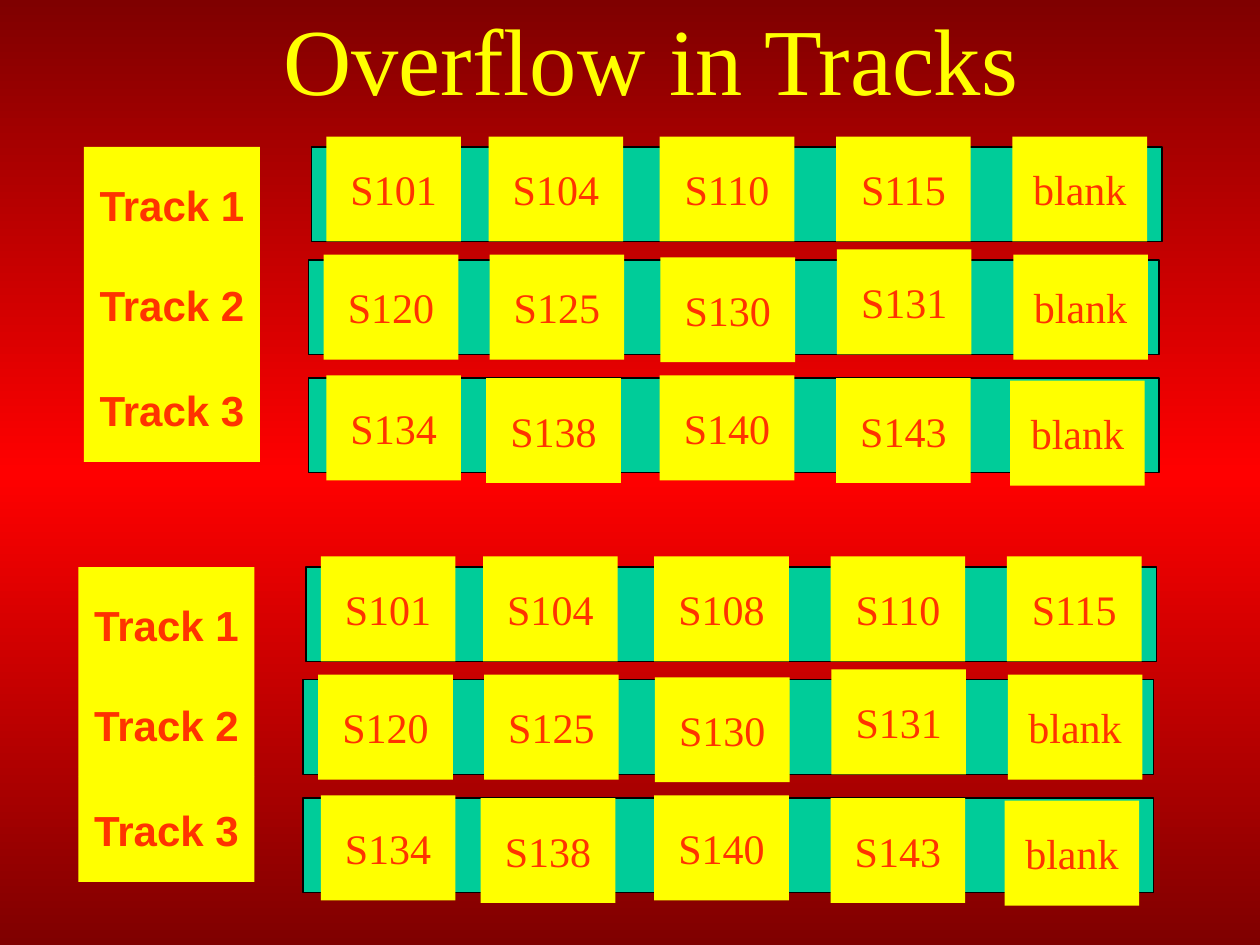
from copy import deepcopy
from dataclasses import dataclass

from pptx import Presentation
from pptx.dml.color import RGBColor
from pptx.enum.shapes import MSO_SHAPE
from pptx.enum.text import MSO_ANCHOR, MSO_AUTO_SIZE, PP_ALIGN
from pptx.oxml.ns import qn
from pptx.util import Inches, Pt

RECTANGLE = MSO_SHAPE.RECTANGLE
MIDDLE = MSO_ANCHOR.MIDDLE
CENTER = PP_ALIGN.CENTER
NO_AUTOFIT = MSO_AUTO_SIZE.NONE

CELL = Inches(1) / 48  # the slide is a grid of 480 columns by 360 rows


@dataclass(frozen=True)
class Theme:
    yellow: str = "FFFF00"
    green: str = "00CC99"
    orange: str = "FF3300"
    black: str = "000000"
    backdrop: tuple = ((0, "7F0000"), (0.5, "FF0000"), (1, "7F0000"))
    serif: str = "Times New Roman"
    sans: str = "Arial"
    title_size: int = 54
    text_size: int = 24
    line_width: float = 0.75


@dataclass(frozen=True)
class Area:
    """A block of grid cells."""
    column: float
    row: float
    columns: float
    rows: float

    def moved(self, across: float, down: float) -> "Area":
        return Area(self.column + across, self.row + down, self.columns, self.rows)


@dataclass(frozen=True)
class Track:
    label: str
    bar: tuple      # column, row of the green bar
    card_row: float
    nudges: tuple   # shift of each card from its place, in columns and rows


@dataclass(frozen=True)
class Table:
    """One state of the file: a shift on the grid and the records of each track."""
    across: float
    down: float
    records: tuple


THEME = Theme()
TITLE_AREA = Area(44, 0, 408, 44)
BAR_SIZE = (324, 36)
CARD_SIZE = (51.3, 40)
CARD_COLUMNS = (124.3, 186.1, 251.3, 318.5, 385.7)
FIRST_LABEL = Area(32, 56, 67, 40)

TRACKS = (
    Track("Track 1", (118.7, 56), 52, ((0, 0),) * 5),
    Track("Track 2", (117.5, 99), 97, ((-1, 0), (0.4, 0), (0.3, 1), (0.3, -2), (0.3, 0))),
    Track("Track 3", (117.5, 144), 143, ((0, 0), (-0.9, 1), (0, 0), (0, 1), (-0.9, 2))),
)
LATER_RECORDS = (
    ("S120", "S125", "S130", "S131", "blank"),
    ("S134", "S138", "S140", "S143", "blank"),
)
TABLES = (
    Table(0, 0, (("S101", "S104", "S110", "S115", "blank"), *LATER_RECORDS)),
    Table(-2.1, 160, (("S101", "S104", "S108", "S110", "S115"), *LATER_RECORDS)),
)


def color(value: str) -> RGBColor:
    return RGBColor.from_string(value)


def bounds(area: Area) -> list[int]:
    return [round(n * CELL) for n in (area.column, area.row, area.columns, area.rows)]


def write(box, text: str, font: str, size: int, ink: str, bold: bool = False) -> None:
    frame = box.text_frame
    frame.word_wrap = True
    frame.auto_size = NO_AUTOFIT
    frame.vertical_anchor = MIDDLE
    para = frame.paragraphs[0]
    para.alignment = CENTER
    span = para.add_run()
    span.text = text
    span.font.name = font
    span.font.size = Pt(size)
    span.font.bold = bold
    span.font.color.rgb = color(ink)


def add_box(shapes, area: Area, fill: str):
    """Add a filled rectangle without line or shadow."""
    box = shapes.add_shape(RECTANGLE, *bounds(area))
    box.shadow.inherit = False
    box.fill.solid()
    box.fill.fore_color.rgb = color(fill)
    box.line.fill.background()
    return box


def add_bar(shapes, area: Area) -> None:
    bar = add_box(shapes, area, THEME.green)
    bar.line.color.rgb = color(THEME.black)
    bar.line.width = Pt(THEME.line_width)


def add_card(shapes, area: Area, text: str) -> None:
    card = add_box(shapes, area, THEME.yellow)
    write(card, text, THEME.serif, THEME.text_size, THEME.orange)


def add_label(shapes, area: Area, text: str):
    label = add_box(shapes, area, THEME.yellow)
    write(label, text, THEME.sans, THEME.text_size, THEME.orange, bold=True)
    return label


def add_table_of_tracks(page, table: Table) -> None:
    shapes = page.shapes.add_group_shape().shapes
    shift = (table.across, table.down)
    for track in reversed(TRACKS):
        add_bar(shapes, Area(*track.bar, *BAR_SIZE).moved(*shift))
    for index, (track, records) in enumerate(zip(TRACKS, table.records)):
        area = FIRST_LABEL.moved(0, index * FIRST_LABEL.rows).moved(*shift)
        label = add_label(shapes, area, track.label)
        if index == 0:
            frame = label.text_frame
            frame.margin_left = frame.margin_right = frame.margin_bottom = 0
            frame.margin_top = Inches(0.08)
        for column, nudge, record in zip(CARD_COLUMNS, track.nudges, records):
            place = Area(column, track.card_row, *CARD_SIZE)
            add_card(shapes, place.moved(*nudge).moved(*shift), record)


def paint_background(page) -> None:
    fill = page.background.fill
    fill.gradient()
    fill.gradient_angle = 270
    stops = next(page.element.iter(qn("a:gsLst")))
    stops.insert(1, deepcopy(stops[0]))
    for stop, (position, value) in zip(fill.gradient_stops, THEME.backdrop):
        stop.position = position
        stop.color.rgb = color(value)


def set_title(page, text: str) -> None:
    title = page.shapes.title
    title.left, title.top, title.width, title.height = bounds(TITLE_AREA)
    write(title, text, THEME.serif, THEME.title_size, THEME.yellow)


def main() -> None:
    deck = Presentation()
    deck.slide_width, deck.slide_height = Inches(10), Inches(7.5)
    page = deck.slides.add_slide(deck.slide_layouts.get_by_name("Title Only"))
    paint_background(page)
    set_title(page, "Overflow in Tracks")
    for table in TABLES:
        add_table_of_tracks(page, table)
    deck.save("out.pptx")


if __name__ == "__main__":
    main()
